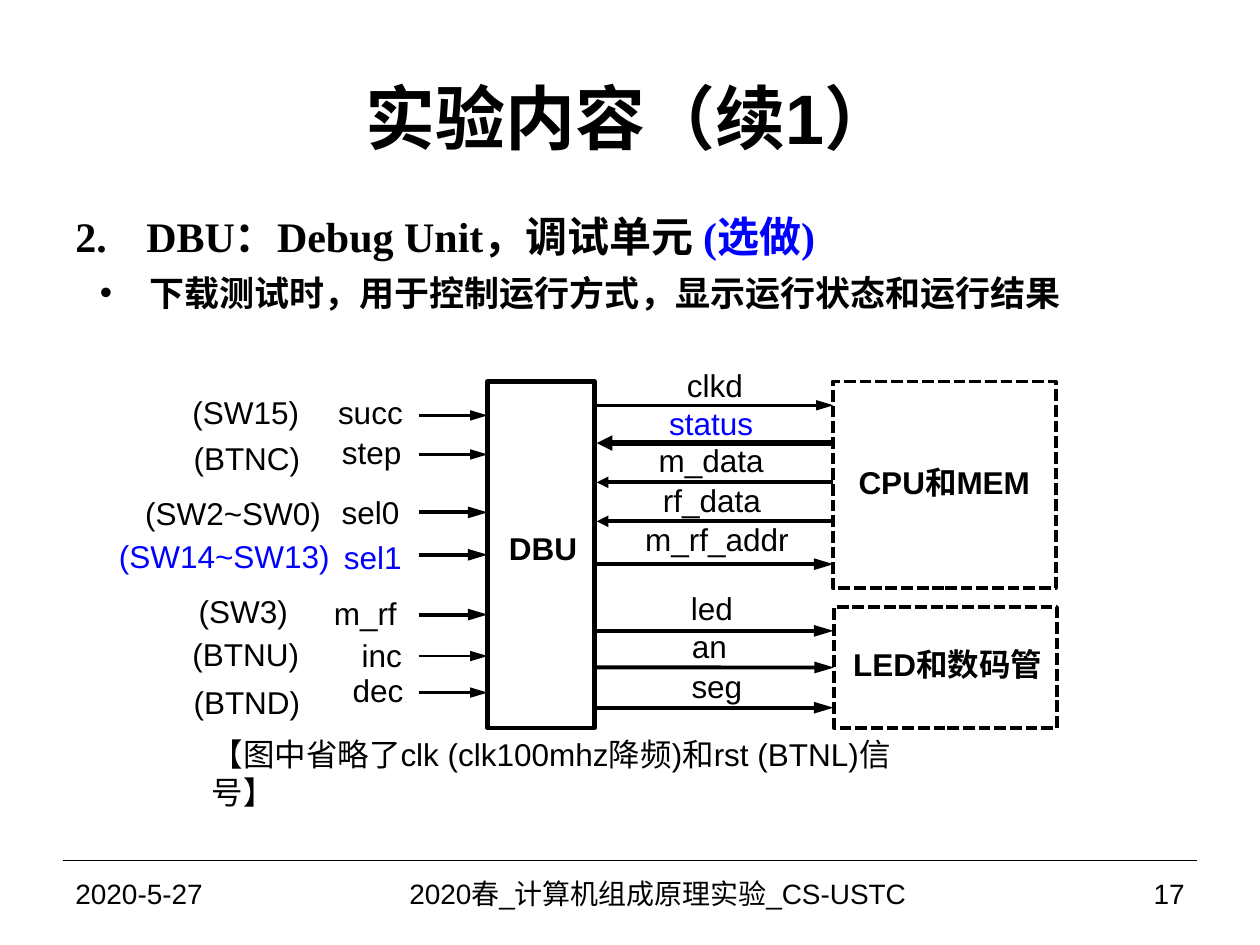
from collections import namedtuple

from lxml.etree import SubElement
from pptx import Presentation
from pptx.dml.color import RGBColor
from pptx.enum.dml import MSO_LINE
from pptx.enum.shapes import MSO_CONNECTOR, MSO_SHAPE
from pptx.enum.text import MSO_ANCHOR as Anchor, PP_ALIGN as Align
from pptx.oxml.ns import qn
from pptx.util import Pt

COLORS = {"ink": "000000", "optional": "0000FF"}
Box = namedtuple("Box", "left top width height")
LEFT_SIDE = 1
RIGHT_ARROW, LEFT_ARROW = "lg", "med"


def points(*lengths):
    return [Pt(length) for length in lengths]


def add_run(paragraph, text, size=18, font="Arial", color="ink", bold=False):
    run = paragraph.add_run()
    run.text = text
    run.font.size = Pt(size)
    run.font.name = font
    run.font.bold = bold
    run.font.color.rgb = RGBColor.from_string(COLORS[color])


def set_frame(frame, anchor=Anchor.MIDDLE, insets=(0, 0, 0, 0), wrap=False):
    frame.word_wrap = wrap
    frame.vertical_anchor = anchor
    (frame.margin_left, frame.margin_top,
     frame.margin_right, frame.margin_bottom) = points(*insets)


def add_text(slide, box, text, align=Align.CENTER, anchor=Anchor.MIDDLE,
             insets=(0, 0, 0, 0), wrap=False, **style):
    frame = slide.shapes.add_textbox(*points(*box)).text_frame
    set_frame(frame, anchor, insets, wrap)
    frame.paragraphs[0].alignment = align
    add_run(frame.paragraphs[0], text, **style)


def add_label(slide, x, y, text, color="ink"):
    width = 11 * len(text) + 8
    add_text(slide, Box(x - width / 2, y - 11, width, 22), text, color=color)


def add_block(slide, box, text="", weight=2.25, dashed=False, inset=0):
    block = slide.shapes.add_shape(MSO_SHAPE.RECTANGLE, *points(*box))
    block.shadow.inherit = False
    block.fill.background()
    block.line.color.rgb = RGBColor.from_string(COLORS["ink"])
    block.line.width = Pt(weight)
    if dashed:
        block.line.dash_style = MSO_LINE.SQUARE_DOT
    if text:
        set_frame(block.text_frame, insets=(inset, 0, 0, 0))
        caption = block.text_frame.paragraphs[0]
        caption.alignment = Align.CENTER
        caption.line_spacing = Pt(18)
        add_run(caption, text, bold=True)
    return block


def add_line(slide, start, end, weight, head=None):
    line = slide.shapes.add_connector(MSO_CONNECTOR.STRAIGHT, *points(*start, *end))
    line.line.color.rgb = RGBColor.from_string(COLORS["ink"])
    line.line.width = Pt(weight)
    if head:
        SubElement(line.line._get_or_add_ln(), qn("a:tailEnd"),
                   type="triangle", w="med", len=head)
    SubElement(line._element.spPr, qn("a:effectLst"))
    return line


def add_bullet(paragraph, left, hanging, tag, **attributes):
    properties = paragraph._p.get_or_add_pPr()
    properties.set("marL", str(Pt(left)))
    properties.set("indent", str(-Pt(hanging)))
    color = SubElement(properties, qn("a:buClr"))
    SubElement(color, qn("a:srgbClr"), val=COLORS["ink"])
    SubElement(properties, qn("a:buFont"), typeface="Arial")
    SubElement(properties, qn(tag), **attributes)


def add_heading(slide, box):
    add_text(slide, box, "实验内容（续1）", wrap=True, size=40, bold=True)


def add_outline(slide, box):
    frame = slide.shapes.add_textbox(*points(*box)).text_frame
    set_frame(frame, Anchor.TOP, (7.2, 3.6, 7.2, 3.6), wrap=True)
    style = {"font": "Times New Roman", "bold": True}

    topic = frame.paragraphs[0]
    add_bullet(topic, 40.5, 40.5, "a:buAutoNum", type="arabicPeriod", startAt="2")
    add_run(topic, "DBU：Debug Unit，调试单元 ", size=24, **style)
    add_run(topic, "(选做)", size=24, color="optional", **style)

    purpose = frame.add_paragraph()
    purpose.level = 1
    add_bullet(purpose, 42.2, 28.2, "a:buChar", char="•")
    purpose.space_before = Pt(6)
    add_run(purpose, "下载测试时，用于控制运行方式，显示运行状态和运行结果", size=20, **style)


def add_inputs(slide, box, dbu):
    rows = [
        ("succ", 211.7, 17.6, "(SW15)", 140.4, 17.6, 19.4, 1.5, "ink"),
        ("step", 212.4, 40.3, "(BTNC)", 141.1, 43.5, 41.7, 1.5, "ink"),
        ("sel0", 211.7, 74.8, "(SW2~SW0)", 133.2, 75.2, 74.8, 2.25, "ink"),
        ("sel1", 213.1, 100, "(SW14~SW13)", 128.2, 99.7, 99, 2.25, "optional"),
        ("m_rf", 208.8, 132.4, "(SW3)", 139, 131.4, 133.2, 2.25, "ink"),
        ("inc", 218.2, 156.2, "(BTNU)", 140.4, 155.8, 156.9, 1.5, "ink"),
        ("dec", 216, 176.4, "(BTND)", 141.1, 183.2, 177.8, 1.5, "ink"),
    ]
    right = box.left + box.width
    for signal, x, y, source, source_x, source_y, arrow_y, weight, color in rows:
        add_label(slide, box.left + x, box.top + y, signal, color)
        add_label(slide, box.left + source_x, box.top + source_y, source, color)
        level = box.top + arrow_y
        arrow = add_line(slide, (right - 39.4, level), (right, level), weight, RIGHT_ARROW)
        if signal == "sel1":
            arrow.end_connect(dbu, LEFT_SIDE)


def add_outputs(slide, box, display):
    rows = [
        ("clkd", 67.6, 2.1, 13.6, 1.5, RIGHT_ARROW, "ink"),
        ("status", 65.4, 23.7, 35.2, 3, LEFT_ARROW, "optional"),
        ("m_data", 65.4, 44.6, 57.6, 2.25, LEFT_ARROW, "ink"),
        ("rf_data", 65.8, 67.6, 79.9, 2.25, LEFT_ARROW, "ink"),
        ("m_rf_addr", 68.7, 90, 104.4, 2.25, RIGHT_ARROW, "ink"),
        ("led", 65.8, 129.6, 142.5, 2.25, RIGHT_ARROW, "ink"),
        ("an", 64.4, 151.2, 163.4, 2.25, RIGHT_ARROW, "ink"),
        ("seg", 68.7, 174.2, 186.4, 2.25, RIGHT_ARROW, "ink"),
    ]
    for signal, x, y, arrow_y, weight, head, color in rows:
        add_label(slide, box.left + x, box.top + y, signal, color)
        level = box.top + arrow_y
        start, end = (box.left, level), (box.left + box.width, level)
        if head == LEFT_ARROW:
            start, end = end, start
        arrow = add_line(slide, start, end, weight, head)
        if signal == "an":
            arrow.end_connect(display, LEFT_SIDE)


def add_diagram(slide, box):
    left, top, width, height = box
    dbu = add_block(slide, Box(left + 278.6, top, 61.2, height), weight=2.5)
    add_text(slide, Box(left + 283.7, top + 80.6, 53.3, 28.8), "DBU",
             anchor=Anchor.TOP, insets=(7.2, 3.6, 7.2, 3.6), bold=True)
    add_block(slide, Box(left + width - 128.1, top, 127.4, 118.1), "CPU和MEM", dashed=True)
    display = add_block(slide, Box(left + width - 127.4, top + 128.9, 127.4, 69.1),
                        "LED和数码管", dashed=True, inset=2.4)
    add_inputs(slide, Box(left, top, 278.6, height), dbu)
    add_outputs(slide, Box(left + 341, top, 135.3, height), display)
    add_text(slide, Box(left + 112.3, top + 196.6, 413.3, 54),
             "【图中省略了clk (clk100mhz降频)和rst (BTNL)信号】",
             align=Align.LEFT, insets=(8.6, 0, 0, 0), wrap=True)


def add_footer(slide, box):
    left, top, width, height = box
    add_line(slide, (left, top), (left + width, top), 0.75)
    columns = [
        (168, "2020-5-27", Align.LEFT),
        (348, "2020春_计算机组成原理实验_CS-USTC ", Align.CENTER),
        (132, "17", Align.RIGHT),
    ]
    for column_width, text, align in columns:
        add_text(slide, Box(left, top, column_width, height), text, align=align,
                 insets=(7.2, 3.6, 7.2, 3.6), wrap=True, size=16)
        left += column_width


def main():
    deck = Presentation()
    deck.slide_width, deck.slide_height = points(720, 540)
    slide = deck.slides.add_slide(deck.slide_layouts[6])
    add_heading(slide, Box(36, 21.6, 648, 90))
    add_outline(slide, Box(36, 116.6, 636, 80))
    add_diagram(slide, Box(0, 218, 604, 198))
    add_footer(slide, Box(36, 491.8, 648, 37.4))
    deck.save("out.pptx")


if __name__ == "__main__":
    main()
